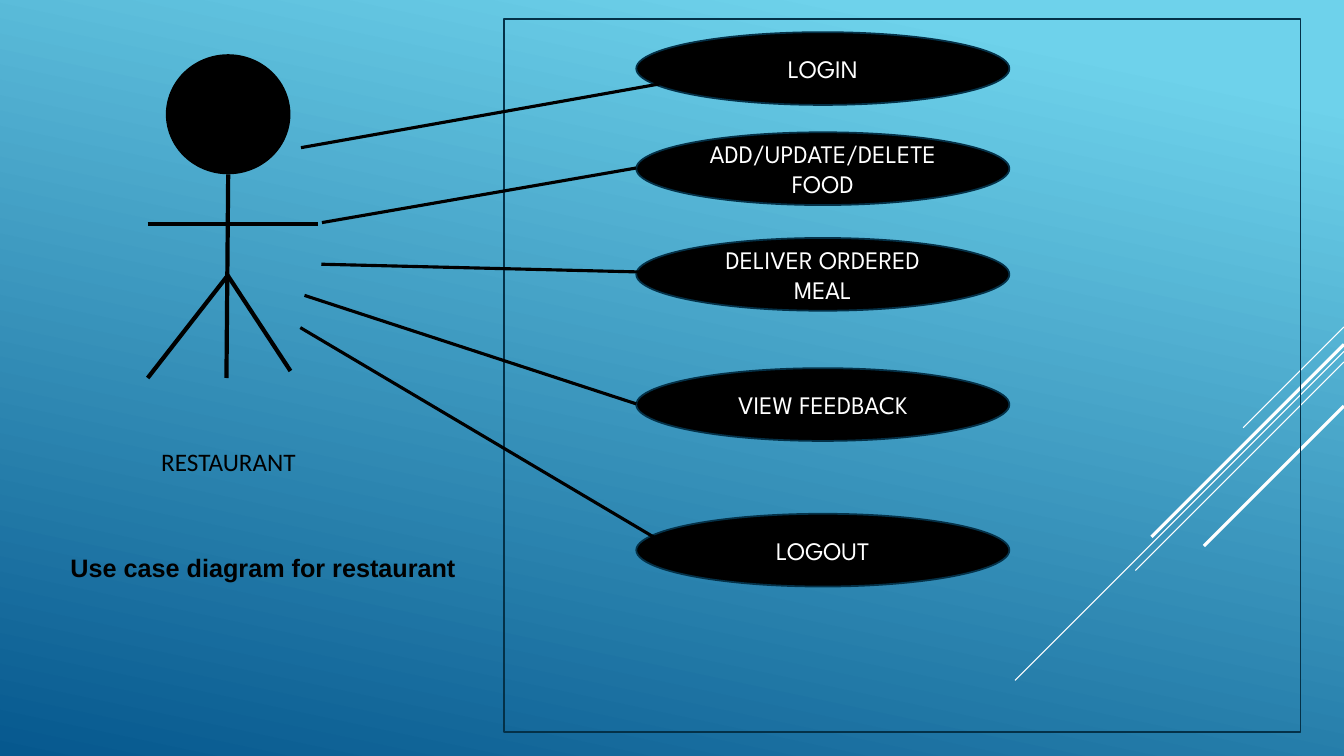
from dataclasses import dataclass

from pptx import Presentation
from pptx.dml.color import RGBColor as RGB
from pptx.enum.shapes import MSO_CONNECTOR as CONN, MSO_SHAPE as SHAPE
from pptx.enum.text import MSO_ANCHOR as ANCHOR, PP_ALIGN as ALIGN
from pptx.oxml.ns import qn
from pptx.util import Pt
from lxml.etree import SubElement

COLORS = {
    "sky": "6ED2EB",
    "deep": "06588E",
    "navy": "043148",
    "black": "000000",
    "white": "FFFFFF",
}
SLIDE_W, SLIDE_H = 960, 540
CASE_LEFT, CASE_W, CASE_H = 454.5, 266.5, 52
OUTLINE = 1.25


@dataclass
class Streak:
    top: float
    run: float
    weight: float


@dataclass
class Segment:
    x1: float
    y1: float
    x2: float
    y2: float


@dataclass
class UseCase:
    label: str
    top: float
    link: Segment


@dataclass
class Label:
    text: str
    left: float
    top: float
    width: float
    height: float
    font: dict
    para: dict


STREAKS = [
    Streak(233.5, 72, 0.75),
    Streak(251, 235, 0.75),
    Streak(258.5, 149, 0.75),
    Streak(246, 137.5, 2.25),
    Streak(290, 100, 2.25),
]
LIMBS = [
    Segment(163, 124.5, 161.75, 270),
    Segment(105.5, 160, 227, 160),
    Segment(162.5, 197, 105.5, 270),
    Segment(207.5, 265, 162.5, 196.5),
]
USE_CASES = [
    UseCase("LOGIN", 23, Segment(215, 105.5, 471, 60)),
    UseCase("ADD/UPDATE/DELETE FOOD", 94.5, Segment(230, 159, 454.5, 120)),
    UseCase("DELIVER ORDERED MEAL", 170, Segment(229.5, 188.75, 466.5, 194.5)),
    UseCase("VIEW FEEDBACK", 263, Segment(217.5, 211, 454.5, 288.5)),
    UseCase("LOGOUT", 367, Segment(214.5, 234, 471, 386)),
]
LABELS = [
    Label("RESTAURANT", 108, 313.5, 480, 29.5,
          {"name": "Calibri", "size": Pt(18)},
          {"line_spacing": 1.07, "space_after": Pt(8)}),
    Label("Use case diagram for restaurant", 43.25, 391, 481, 73,
          {"name": "Arial", "size": Pt(18), "bold": True}, {}),
]
CASE_FONT = {"name": "League Spartan", "size": Pt(18)}


def color(name: str) -> RGB:
    return RGB.from_string(COLORS[name])


def apply(target, values: dict) -> None:
    for name, value in values.items():
        setattr(target, name, value)


def paint_background(s) -> None:
    fill = s.background.fill
    fill.gradient()
    fill.gradient_angle = 258
    for stop, pos, name in zip(fill.gradient_stops, (0.1, 1), ("sky", "deep")):
        stop.position = pos
        stop.color.rgb = color(name)


def add_line(s, seg: Segment, weight: float, name: str = "black") -> None:
    ends = [Pt(v) for v in (seg.x1, seg.y1, seg.x2, seg.y2)]
    cn = s.shapes.add_connector(CONN.STRAIGHT, *ends)
    cn.line.color.rgb = color(name)
    cn.line.width = Pt(weight)
    SubElement(cn._element.spPr, qn("a:effectLst"))


def add_figure(s, kind, box: tuple, fill: str = "", line: str = ""):
    sp = s.shapes.add_shape(kind, *[Pt(v) for v in box])
    sp.shadow.inherit = False
    if fill:
        sp.fill.solid()
        sp.fill.fore_color.rgb = color(fill)
    else:
        sp.fill.background()
    if line:
        sp.line.color.rgb = color(line)
        sp.line.width = Pt(OUTLINE)
    else:
        sp.line.fill.background()
    return sp


def write(tf, text: str, name: str, font: dict, para: dict) -> None:
    tf.word_wrap = True
    p = tf.paragraphs[0]
    apply(p, para)
    r = p.add_run()
    r.text = text
    apply(r.font, font)
    r.font.color.rgb = color(name)


def add_use_case(s, case: UseCase) -> None:
    box = (CASE_LEFT, case.top, CASE_W, CASE_H)
    sp = add_figure(s, SHAPE.OVAL, box, "black", "navy")
    sp.text_frame.vertical_anchor = ANCHOR.MIDDLE
    write(sp.text_frame, case.label, "white", CASE_FONT,
          {"alignment": ALIGN.CENTER})


def add_label(s, label: Label) -> None:
    box = (label.left, label.top, label.width, label.height)
    tb = s.shapes.add_textbox(*[Pt(v) for v in box])
    write(tb.text_frame, label.text, "black", label.font, label.para)


def main() -> None:
    prs = Presentation()
    apply(prs, {"slide_width": Pt(SLIDE_W), "slide_height": Pt(SLIDE_H)})
    s = prs.slides.add_slide(prs.slide_layouts[6])
    paint_background(s)
    for st in STREAKS:
        seg = Segment(SLIDE_W, st.top, SLIDE_W - st.run, st.top + st.run)
        add_line(s, seg, st.weight, "white")
    add_figure(s, SHAPE.OVAL, (118.5, 38.75, 89, 85.75), "black")
    for limb in LIMBS:
        add_line(s, limb, 3)
    add_figure(s, SHAPE.RECTANGLE, (360, 13.5, 569, 509.5), line="navy")
    for case in USE_CASES:
        add_use_case(s, case)
        add_line(s, case.link, 2.25)
    for label in LABELS:
        add_label(s, label)
    prs.save("out.pptx")


if __name__ == "__main__":
    main()
